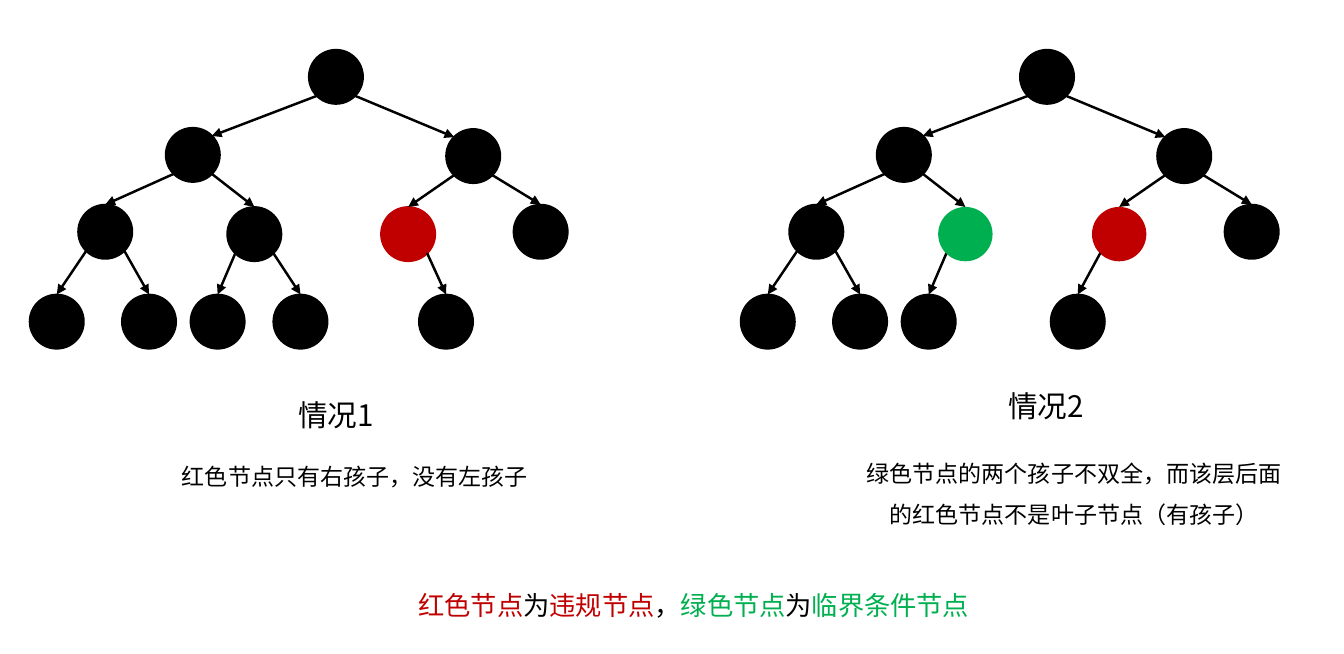
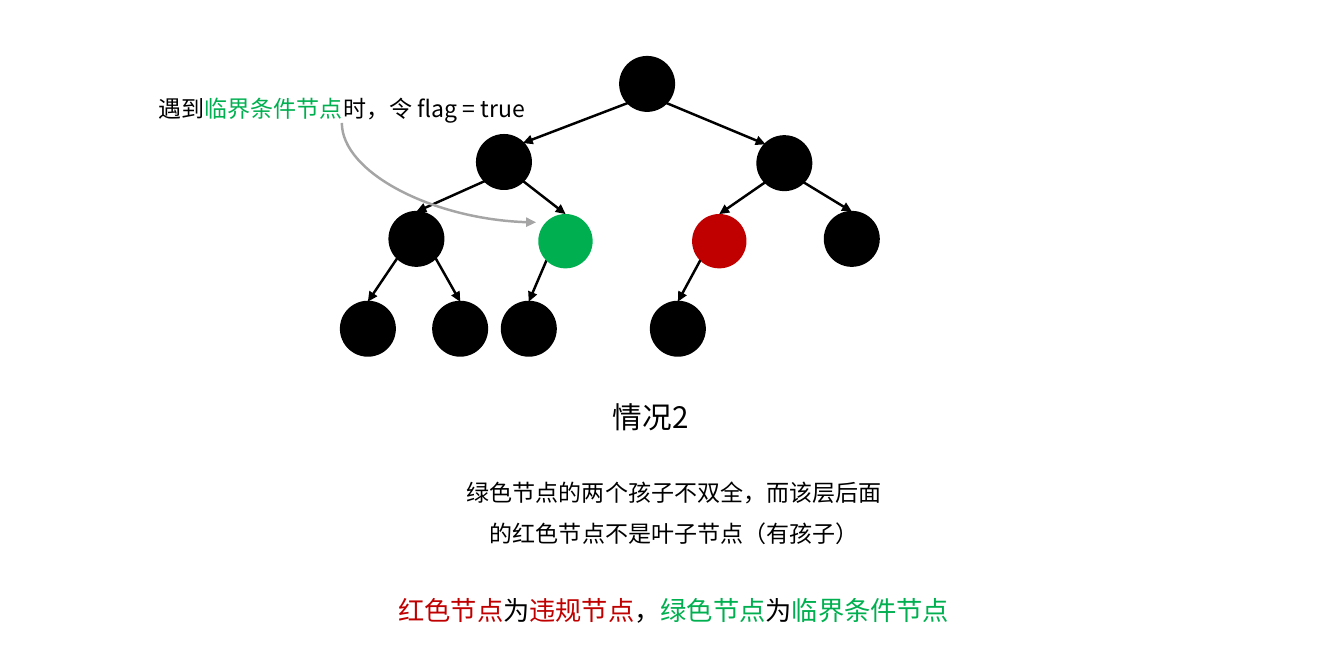
"""Build two slides on the violations of a complete binary tree."""
from dataclasses import dataclass

from lxml.etree import SubElement
from pptx import Presentation
from pptx.dml.color import RGBColor
from pptx.enum.shapes import MSO_CONNECTOR, MSO_SHAPE
from pptx.enum.text import MSO_AUTO_SIZE, PP_ALIGN
from pptx.oxml.ns import qn
from pptx.shapes.connector import Connector
from pptx.slide import Slide
from pptx.util import Emu, Pt

EMU_PER_PX = 9144
SLIDE_WIDTH, SLIDE_HEIGHT = 1136, 553
NODE_RADIUS = 23
RIM_OFFSET = 16
FONT = "Noto Sans CJK SC"
COLORS = {"black": "000000", "red": "C00000", "green": "00B050", "gray": "A5A5A5"}


@dataclass(frozen=True)
class Node:
    """A tree node whose centre is measured from the root's centre."""

    key: str
    x: int
    y: int
    parent: str = ""
    color: str = "black"
    outlined: bool = True


@dataclass(frozen=True)
class Label:
    """A text box made of coloured phrases."""

    left: int
    top: int
    width: int
    height: int
    size: int
    phrases: tuple[tuple[str, str], ...]
    centered: bool = True
    spacing: float = 1.0


SHARED_NODES = (
    Node("root", 0, 0),
    Node("left", -121, 66, "root"),
    Node("right", 116, 67, "root"),
    Node("left_left", -195, 131, "left"),
    Node("right_right", 173, 131, "right"),
    Node("leaf_1", -236, 207, "left_left"),
    Node("leaf_2", -158, 207, "left_left"),
    Node("leaf_3", -100, 207, "left_right"),
)
RIGHT_CHILD_ONLY = SHARED_NODES + (
    Node("left_right", -69, 133, "left"),
    Node("right_left", 61, 133, "right", "red"),
    Node("leaf_4", -30, 207, "left_right"),
    Node("leaf_5", 93, 207, "right_left"),
)
NOT_A_LEAF = SHARED_NODES + (
    Node("left_right", -69, 133, "left", "green", False),
    Node("right_left", 61, 133, "right", "red", False),
    Node("leaf_4", 26, 207, "right_left"),
)


def px(length: int) -> Emu:
    """Turn px into EMU."""
    return Emu(length * EMU_PER_PX)


def rgb(color: str) -> RGBColor:
    """Look up a named colour."""
    return RGBColor.from_string(COLORS[color])


def add_arrow(
    slide: Slide,
    start: tuple[int, int],
    end: tuple[int, int],
    color: str = "black",
    kind: MSO_CONNECTOR = MSO_CONNECTOR.STRAIGHT,
) -> Connector:
    """Draw a connector with a triangular head at its end."""
    arrow = slide.shapes.add_connector(kind, *map(px, start + end))
    arrow.line.width = Pt(1.5)
    arrow.line.color.rgb = rgb(color)
    properties = arrow._element.spPr
    SubElement(properties.find(qn("a:ln")), qn("a:tailEnd"), type="triangle")
    SubElement(properties, qn("a:effectLst"))
    return arrow


def add_node(slide: Slide, node: Node, root_x: int, root_y: int) -> None:
    """Draw one round tree node."""
    diameter = px(2 * NODE_RADIUS)
    circle = slide.shapes.add_shape(
        MSO_SHAPE.OVAL,
        px(root_x + node.x - NODE_RADIUS),
        px(root_y + node.y - NODE_RADIUS),
        diameter,
        diameter,
    )
    circle.shadow.inherit = False
    circle.fill.solid()
    circle.fill.fore_color.rgb = rgb(node.color)
    if node.outlined:
        circle.line.width = Pt(1)
        circle.line.color.rgb = rgb(node.color)
    else:
        circle.line.fill.background()


def add_tree(slide: Slide, nodes: tuple[Node, ...], root_x: int, root_y: int) -> None:
    """Draw the nodes and the arrows from parents to children."""
    by_key = {node.key: node for node in nodes}
    for node in nodes:
        add_node(slide, node, root_x, root_y)
        if not node.parent:
            continue
        parent = by_key[node.parent]
        side = RIM_OFFSET if node.x > parent.x else -RIM_OFFSET
        start = (root_x + parent.x + side, root_y + parent.y + RIM_OFFSET)
        if node.parent == "root":
            end = (root_x + node.x - side, root_y + node.y - RIM_OFFSET)
        else:
            end = (root_x + node.x, root_y + node.y - NODE_RADIUS)
        add_arrow(slide, start, end)


def add_label(slide: Slide, label: Label) -> None:
    """Write a text box with one run per phrase."""
    box = slide.shapes.add_textbox(
        *map(px, (label.left, label.top, label.width, label.height))
    )
    frame = box.text_frame
    frame.word_wrap = True
    frame.auto_size = MSO_AUTO_SIZE.SHAPE_TO_FIT_TEXT
    paragraph = frame.paragraphs[0]
    paragraph.alignment = PP_ALIGN.CENTER if label.centered else PP_ALIGN.LEFT
    paragraph.line_spacing = label.spacing
    for words, color in label.phrases:
        run = paragraph.add_run()
        run.text = words
        run.font.size = Pt(label.size)
        run.font.color.rgb = rgb(color)
        run.font.name = FONT
        SubElement(run.font._element, qn("a:ea"), typeface=FONT)


def add_caption(slide: Slide, left: int, top: int, words: str) -> None:
    """Write the name of a case below its tree."""
    add_label(slide, Label(left, top, 194, 38, 18, ((words, "black"),)))


def add_legend(slide: Slide, left: int, top: int) -> None:
    """Explain the node colours."""
    phrases = (
        ("红色节点", "red"),
        ("为", "black"),
        ("违规节点", "red"),
        ("，", "black"),
        ("绿色节点", "green"),
        ("为", "black"),
        ("临界条件节点", "green"),
    )
    add_label(slide, Label(left, top, 526, 37, 16, phrases, centered=False))


def add_second_case_rule(slide: Slide, left: int, top: int) -> None:
    """Describe the violation of the second case."""
    rule = "绿色节点的两个孩子不双全，而该层后面的红色节点不是叶子节点（有孩子）"
    add_label(slide, Label(left, top, 372, 77, 14, ((rule, "black"),), spacing=1.5))


def add_flag_pointer(slide: Slide) -> None:
    """Curve an arrow from the flag note to the green node."""
    pointer = add_arrow(slide, (413, 64), (329, 228), "gray", MSO_CONNECTOR.CURVE)
    pointer_properties = pointer._element.spPr
    pointer_properties.find(qn("a:xfrm")).set("rot", str(270 * 60000))
    pointer_properties.find(qn("a:prstGeom")).set("prst", "curvedConnector2")


def build_cases_slide(slide: Slide) -> None:
    """Set both cases side by side."""
    add_tree(slide, RIGHT_CHILD_ONLY, 284, 65)
    add_tree(slide, NOT_A_LEAF, 885, 65)
    add_caption(slide, 187, 331, "情况1")
    add_caption(slide, 787, 323, "情况2")
    first_case_rule = (("红色节点只有右孩子，没有左孩子", "black"),)
    add_label(slide, Label(134, 386, 332, 34, 14, first_case_rule))
    add_second_case_rule(slide, 722, 372)
    add_legend(slide, 344, 493)


def build_flag_slide(slide: Slide) -> None:
    """Show where the second case sets the flag."""
    add_tree(slide, NOT_A_LEAF, 547, 71)
    add_caption(slide, 453, 332, "情况2")
    add_second_case_rule(slide, 384, 388)
    add_legend(slide, 327, 498)
    flag_note = (
        ("遇到", "black"),
        ("临界条件节点", "green"),
        ("时，令 flag = true", "black"),
    )
    add_label(slide, Label(103, 63, 372, 41, 14, flag_note, spacing=1.5))
    add_flag_pointer(slide)


def main() -> None:
    """Build and save the presentation."""
    presentation = Presentation()
    presentation.slide_width = px(SLIDE_WIDTH)
    presentation.slide_height = px(SLIDE_HEIGHT)
    blank_layout = presentation.slide_layouts[6]
    for build_slide in (build_cases_slide, build_flag_slide):
        build_slide(presentation.slides.add_slide(blank_layout))
    presentation.save("out.pptx")


if __name__ == "__main__":
    main()
